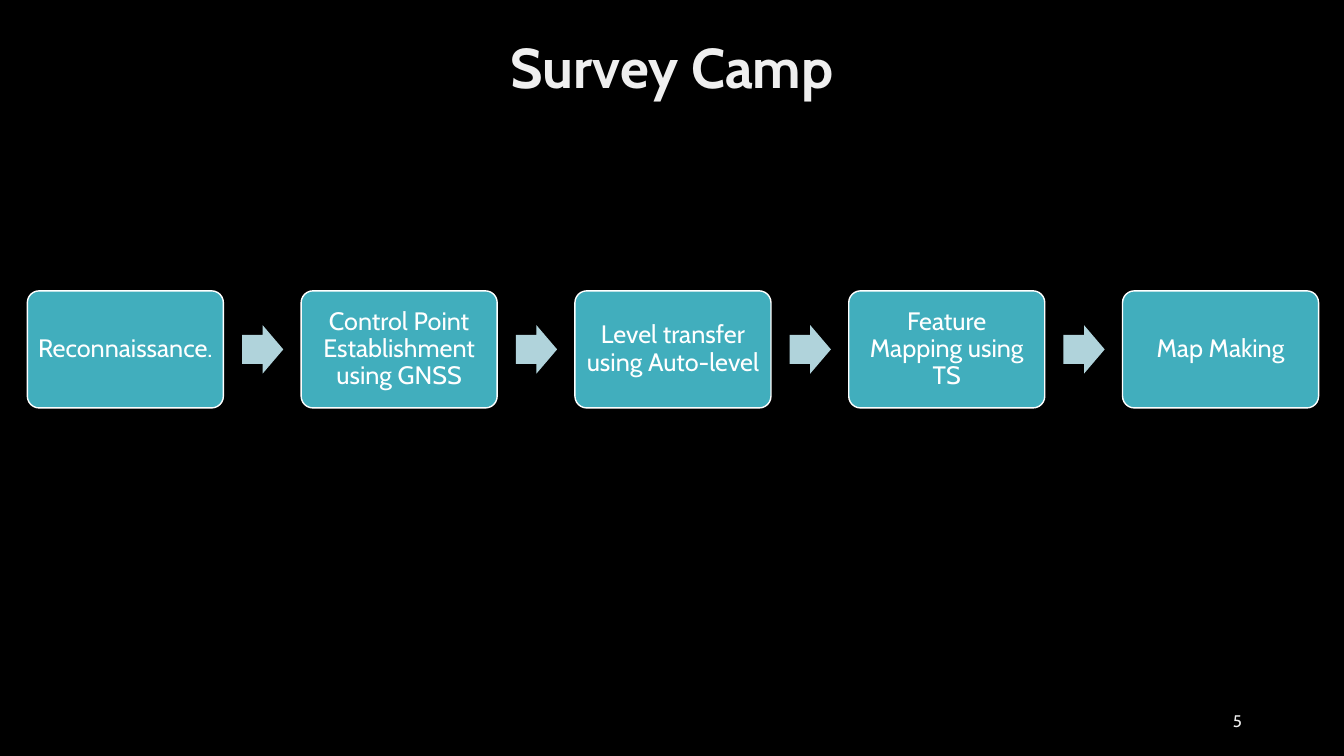
"""Build the Survey Camp process slide."""
from pptx import Presentation
from pptx.dml.color import RGBColor
from pptx.enum import shapes, text
from pptx.util import Cm, Pt

STEPS = [
    "Reconnaissance.",
    "Control Point Establishment using GNSS",
    "Level transfer using Auto-level",
    "Feature Mapping using TS",
    "Map Making",
]
STEP_LEFT, STEP_TOP, STEP_PITCH = 0.69, 7.33, 6.9
STEP_WIDTH, STEP_HEIGHT = 4.94, 2.95
ARROW_OFFSET, ARROW_WIDTH, ARROW_HEIGHT = 5.41, 1.04, 1.22


def color(value):
    return RGBColor.from_string(value)


class ProcessSlide:
    font = "Cabin"
    white = "FFFFFF"
    heading = "EFEFEF"
    step_fill = "41AEBD"
    arrow_fill = "B0D3DB"

    def __init__(self, presentation):
        self.slide = presentation.slides.add_slide(presentation.slide_layouts[6])
        self.slide.background.fill.solid()
        self.slide.background.fill.fore_color.rgb = color("000000")

    def set_text(self, shape, words, size, ink, align, bold=False, spacing=None):
        frame = shape.text_frame
        frame.word_wrap = True
        frame.vertical_anchor = text.MSO_ANCHOR.MIDDLE
        paragraph = frame.paragraphs[0]
        paragraph.text = words
        paragraph.alignment = align
        paragraph.line_spacing = spacing
        paragraph.font.name = self.font
        paragraph.font.size = Pt(size)
        paragraph.font.bold = bold
        paragraph.font.color.rgb = color(ink)

    def label(self, box, *args, **style):
        shape = self.slide.shapes.add_textbox(*map(Cm, box))
        self.set_text(shape, *args, **style)

    def preset(self, kind, box, fill, adjustments):
        shape = self.slide.shapes.add_shape(kind, *map(Cm, box))
        shape.shadow.inherit = False
        shape.fill.solid()
        shape.fill.fore_color.rgb = color(fill)
        for index, value in enumerate(adjustments):
            shape.adjustments[index] = value
        return shape

    def step(self, box, words):
        shape = self.preset(shapes.MSO_SHAPE.ROUNDED_RECTANGLE, box, self.step_fill, [0.1])
        shape.line.color.rgb = color(self.white)
        shape.line.width = Pt(1)
        frame = shape.text_frame
        frame.margin_left = frame.margin_right = Cm(0.18)
        frame.margin_top = frame.margin_bottom = Cm(0.18)
        self.set_text(shape, words, 18, self.white, text.PP_ALIGN.CENTER, spacing=0.9)

    def arrow(self, box):
        shape = self.preset(shapes.MSO_SHAPE.RIGHT_ARROW, box, self.arrow_fill, [0.6, 0.5])
        shape.line.fill.background()


def main():
    presentation = Presentation()
    presentation.slide_width, presentation.slide_height = Cm(33.87), Cm(19.05)
    page = ProcessSlide(presentation)
    page.label((0.1, 0.69, 33.68, 2.18), "Survey Camp", 40, page.heading,
               text.PP_ALIGN.CENTER, bold=True, spacing=0.9)
    page.label((23.93, 17.65, 7.62, 1.02), "5", 12, page.heading, text.PP_ALIGN.RIGHT)
    arrow_top = STEP_TOP + (STEP_HEIGHT - ARROW_HEIGHT) / 2
    for index, words in enumerate(STEPS):
        left = STEP_LEFT + index * STEP_PITCH
        page.step((left, STEP_TOP, STEP_WIDTH, STEP_HEIGHT), words)
        if index < len(STEPS) - 1:
            page.arrow((left + ARROW_OFFSET, arrow_top, ARROW_WIDTH, ARROW_HEIGHT))
    presentation.save("out.pptx")


if __name__ == "__main__":
    main()
